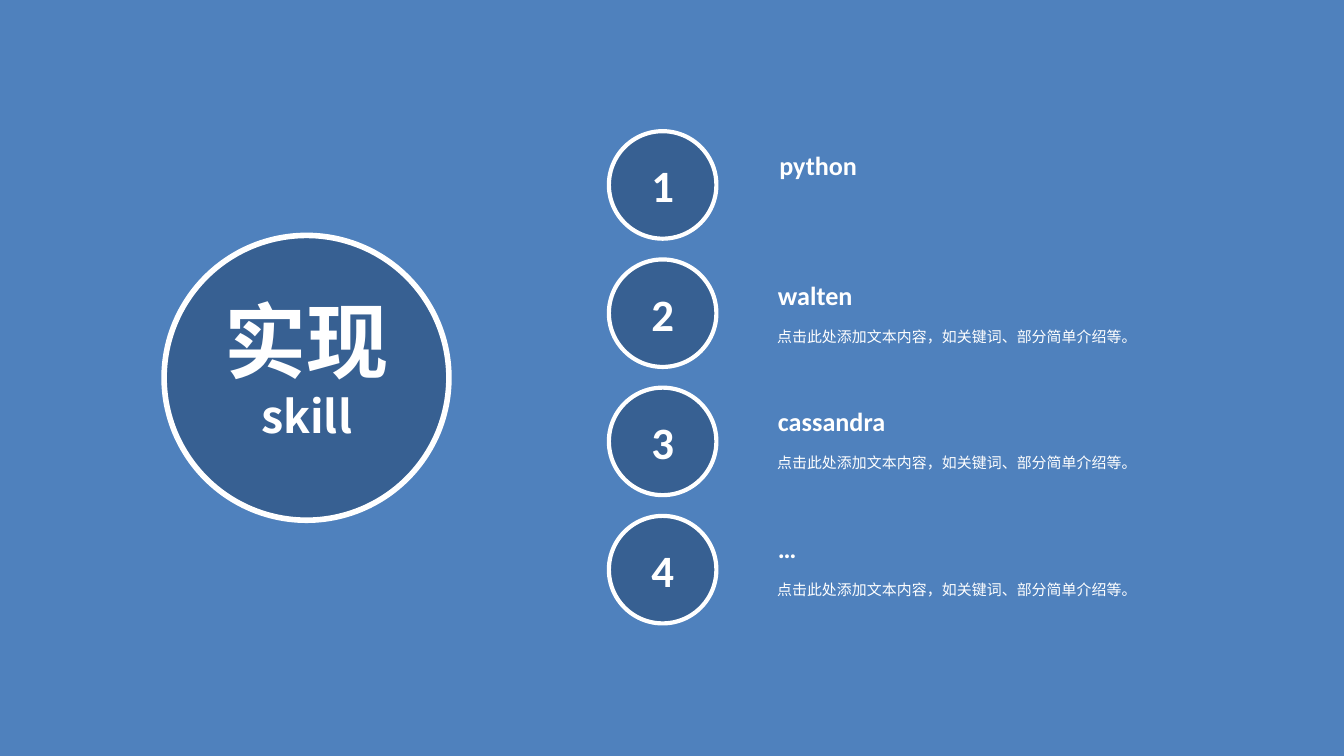
"""Build a slide that lists four skills beside a large title circle."""
import dataclasses

import lxml.etree
import pptx
import pptx.dml.color
import pptx.enum.shapes
import pptx.enum.text
import pptx.oxml.ns
import pptx.util

Pt = pptx.util.Pt
ShapeKind = pptx.enum.shapes.MSO_SHAPE
Align = pptx.enum.text.PP_ALIGN
Anchor = pptx.enum.text.MSO_ANCHOR


@dataclasses.dataclass(frozen=True)
class Theme:
    """Hold the colours, fonts and type sizes of the slide."""
    background: str = "4F81BD"
    circle: str = "376092"
    white: str = "FFFFFF"
    latin_font: str = "Calibri"
    chinese_font: str = "Noto Sans CJK SC"
    title_size: float = 44
    subtitle_size: float = 24
    number_size: float = 24
    heading_size: float = 14
    body_size: float = 8


THEME = Theme()
DESCRIPTION = "点击此处添加文本内容，如关键词、部分简单介绍等。"
SKILLS = [
    ("python", 410.4, 76.3, 56.2, None),
    ("walten", 409.7, 146.2, 57, DESCRIPTION),
    ("cassandra", 409.7, 213.8, 72, DESCRIPTION),
    ("…", 409.7, 281.5, 24.5, DESCRIPTION),
]


def colour(value):
    """Turn a hexadecimal value into a colour."""
    return pptx.dml.color.RGBColor.from_string(value)


def write_text(paragraph, text, *, size, font=THEME.latin_font, bold=False,
               align=Align.LEFT, line_spacing=None):
    """Write one formatted run into a paragraph."""
    paragraph.alignment = align
    if line_spacing:
        paragraph.line_spacing = line_spacing
    run = paragraph.add_run()
    run.text = text
    run.font.size = Pt(size)
    run.font.bold = bold
    run.font.color.rgb = colour(THEME.white)
    run.font.name = font
    east_asian = lxml.etree.SubElement(run.font._element, pptx.oxml.ns.qn("a:ea"))
    east_asian.set("typeface", THEME.chinese_font)


def add_filled_shape(slide, kind, left, top, width, height, fill, line_width=0):
    """Add a flat shape with an optional white outline."""
    shape = slide.shapes.add_shape(kind, Pt(left), Pt(top), Pt(width), Pt(height))
    shape.shadow.inherit = False
    shape.fill.solid()
    shape.fill.fore_color.rgb = colour(fill)
    if line_width:
        shape.line.color.rgb = colour(THEME.white)
        shape.line.width = Pt(line_width)
    else:
        shape.line.fill.background()
    return shape


def add_circle(slide, left, top, diameter, line_width):
    """Add a dark circle with a white outline."""
    return add_filled_shape(slide, ShapeKind.OVAL, left, top, diameter, diameter,
                            THEME.circle, line_width)


def add_text_box(slide, left, top, width, height, wrap=True):
    """Add an empty text box and return its text frame."""
    frame = slide.shapes.add_textbox(Pt(left), Pt(top), Pt(width), Pt(height)).text_frame
    frame.word_wrap = wrap
    frame.auto_size = pptx.enum.text.MSO_AUTO_SIZE.SHAPE_TO_FIT_TEXT
    return frame


def add_number_circle(slide, number):
    """Add one numbered circle at its place in the column."""
    circle = add_circle(slide, 326.2, 70.3 + (number - 1) * 68.7, 57.6, 2.25)
    circle.text_frame.vertical_anchor = Anchor.MIDDLE
    write_text(circle.text_frame.paragraphs[0], str(number), size=THEME.number_size,
               bold=True, align=Align.CENTER)


def add_skill(slide, name, left, top, width, description):
    """Add a skill heading and its description, if it has one."""
    heading = add_text_box(slide, left, top, width, 24.2, wrap=False)
    write_text(heading.paragraphs[0], name, size=THEME.heading_size, bold=True)
    if description:
        body = add_text_box(slide, 409.2, top + 23, 250.6, 20.2)
        write_text(body.paragraphs[0], description, size=THEME.body_size, line_spacing=1.3)


def add_title(slide):
    """Add the large circle with the two-line title."""
    add_circle(slide, 87.9, 126.1, 152.6, 3)
    frame = add_text_box(slide, 84.7, 151.9, 159.1, 89.3)
    lines = [("实现", THEME.title_size), ("skill", THEME.subtitle_size)]
    paragraphs = [frame.paragraphs[0], frame.add_paragraph()]
    for paragraph, (text, size) in zip(paragraphs, lines):
        write_text(paragraph, text, size=size, font=THEME.chinese_font, bold=True,
                   align=Align.CENTER)


def main():
    """Build and save the presentation."""
    presentation = pptx.Presentation()
    presentation.slide_width = Pt(720)
    presentation.slide_height = Pt(405)
    slide = presentation.slides.add_slide(presentation.slide_layouts[6])
    add_filled_shape(slide, ShapeKind.RECTANGLE, 0, 0, 720, 405, THEME.background)
    for number, skill in enumerate(SKILLS, start=1):
        add_skill(slide, *skill)
        add_number_circle(slide, number)
    add_title(slide)
    presentation.save("out.pptx")


if __name__ == "__main__":
    main()
